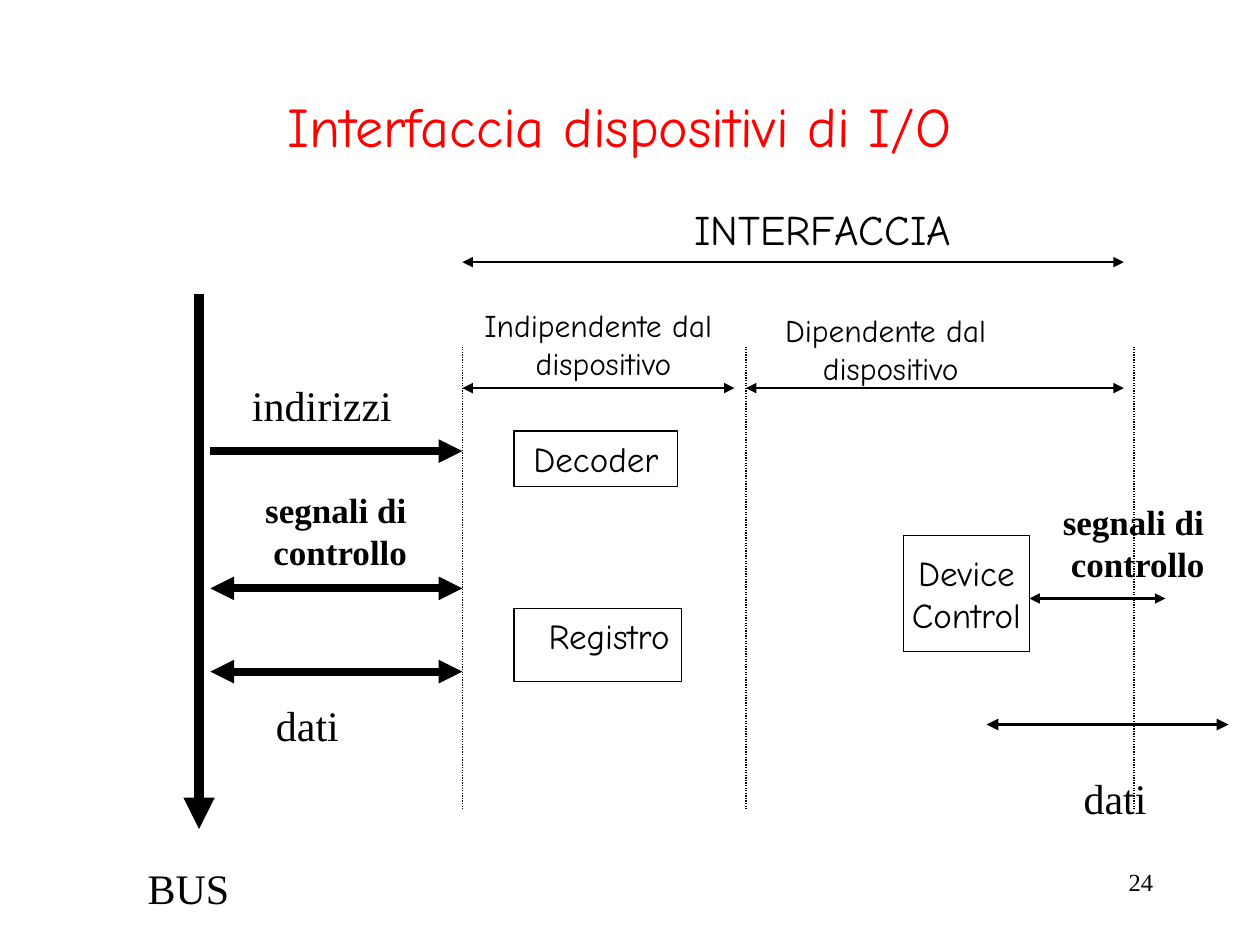
from dataclasses import dataclass

from lxml import etree
from pptx import Presentation
from pptx.dml.color import RGBColor
from pptx.enum.dml import MSO_LINE
from pptx.enum.shapes import MSO_CONNECTOR, MSO_SHAPE
from pptx.enum.text import MSO_ANCHOR, PP_ALIGN
from pptx.oxml.ns import qn
from pptx.util import Inches, Pt

STRAIGHT = MSO_CONNECTOR.STRAIGHT
RECTANGLE = MSO_SHAPE.RECTANGLE
DOTTED = MSO_LINE.ROUND_DOT
TOP, MIDDLE = MSO_ANCHOR.TOP, MSO_ANCHOR.MIDDLE
CENTER, RIGHT = PP_ALIGN.CENTER, PP_ALIGN.RIGHT

COMIC, TIMES = "Comic Neue", "Times New Roman"
BLACK, RED = "000000", "FF0000"

BUS_X, BUS_EDGE = 1.58, 1.67
INTERFACE_LEFT, INTERFACE_MIDDLE, INTERFACE_RIGHT = 3.67, 5.92, 9
SPAN_RIGHT = 8.92
SPAN_Y = 3.08


@dataclass
class Label:
    text: str
    left: float
    top: float
    width: float
    height: float
    size: int
    font: str = TIMES
    color: str = BLACK
    bold: bool = False
    wrap: bool = False
    align: PP_ALIGN = CENTER
    anchor: MSO_ANCHOR = TOP
    framed: bool = False


@dataclass
class Arrow:
    x1: float
    y1: float
    x2: float
    y2: float
    weight: float = 0.75
    ends: tuple[str, ...] = ("headEnd", "tailEnd")


LABELS = [
    Label("24", 7.17, 6.83, 2.08, 0.5, 14, wrap=True, align=RIGHT),
    Label("Interfaccia dispositivi di I/O", 0.67, 0.58, 8.5, 0.83, 32,
          COMIC, RED, wrap=True, anchor=MIDDLE),
    Label("BUS", 1.07, 6.8, 0.85, 0.5, 24),
    Label("Device\nControl", 7.17, 4.25, 1, 0.92, 20, COMIC,
          anchor=MIDDLE, framed=True),
    Label("Dipendente dal \ndispositivo", 6.13, 2.42, 1.88, 0.7, 18, COMIC),
    Label("Indipendente dal \ndispositivo", 3.74, 2.38, 2.1, 0.7, 18, COMIC),
    Label("INTERFACCIA", 5.41, 1.57, 2.24, 0.5, 24, COMIC),
    Label("Decoder", 4.08, 3.42, 1.3, 0.44, 20, COMIC, wrap=True, framed=True),
    Label("", 4.08, 4.83, 1.33, 0.58, 20, COMIC, framed=True),
    Label("Registro", 4.17, 4.83, 1.33, 0.44, 20, COMIC, wrap=True),
    Label("indirizzi", 1.9, 2.96, 1.31, 0.5, 24),
    Label("dati", 2.09, 5.5, 0.7, 0.5, 24),
    Label("dati", 8.5, 6.08, 0.7, 0.5, 24),
    Label("segnali di\n controllo", 1.92, 3.83, 1.49, 0.77, 20, bold=True, wrap=True),
    Label("segnali di\n controllo", 8.25, 3.92, 1.49, 0.77, 20, bold=True, wrap=True),
]

ARROWS = [
    Arrow(INTERFACE_LEFT, 2.08, SPAN_RIGHT, 2.08),
    Arrow(INTERFACE_LEFT, SPAN_Y, 5.83, SPAN_Y),
    Arrow(INTERFACE_MIDDLE, SPAN_Y, SPAN_RIGHT, SPAN_Y),
    Arrow(BUS_X, 2.33, BUS_X, 6.58, 6, ("tailEnd",)),
    Arrow(BUS_EDGE, 3.58, INTERFACE_LEFT, 3.58, 4.5, ("tailEnd",)),
    Arrow(BUS_EDGE, 4.67, INTERFACE_LEFT, 4.67, 4.5),
    Arrow(BUS_EDGE, 5.33, INTERFACE_LEFT, 5.33, 4.5),
    Arrow(8.17, 4.75, 9.25, 4.75, 1.5),
    Arrow(7.83, 5.75, 9.75, 5.75, 2.25),
]

BOUNDARIES = [
    Arrow(x, 2.75, x, 6.42, ends=())
    for x in (INTERFACE_LEFT, INTERFACE_MIDDLE, INTERFACE_RIGHT)
]


def rgb(color: str) -> RGBColor:
    return RGBColor.from_string(color)


def draw_label(slide, label: Label) -> None:
    box = [Inches(value) for value in (label.left, label.top, label.width, label.height)]
    if label.framed:
        shape = slide.shapes.add_shape(RECTANGLE, *box)
        shape.shadow.inherit = False
        shape.fill.background()
        shape.line.color.rgb = rgb(BLACK)
        shape.line.width = Pt(0.75)
    else:
        shape = slide.shapes.add_textbox(*box)
    if not label.text:
        return
    frame = shape.text_frame
    frame.word_wrap = label.wrap
    frame.vertical_anchor = label.anchor
    frame.text = label.text
    font_format = {"name": label.font, "size": Pt(label.size), "bold": label.bold}
    for paragraph in frame.paragraphs:
        paragraph.alignment = label.align
        for run in paragraph.runs:
            for name, value in font_format.items():
                setattr(run.font, name, value)
            run.font.color.rgb = rgb(label.color)


def draw_arrow(slide, arrow: Arrow, dash: MSO_LINE | None = None) -> None:
    points = [Inches(value) for value in (arrow.x1, arrow.y1, arrow.x2, arrow.y2)]
    connector = slide.shapes.add_connector(STRAIGHT, *points)
    connector.line.color.rgb = rgb(BLACK)
    connector.line.width = Pt(arrow.weight)
    if dash is not None:
        connector.line.dash_style = dash
    properties = connector._element.spPr
    line = properties.find(qn("a:ln"))
    for end in arrow.ends:
        etree.SubElement(line, qn(f"a:{end}"), type="triangle")
    etree.SubElement(properties, qn("a:effectLst"))


def main() -> None:
    presentation = Presentation()
    presentation.slide_width = Inches(10)
    presentation.slide_height = Inches(7.5)
    slide = presentation.slides.add_slide(presentation.slide_layouts[6])
    for boundary in BOUNDARIES:
        draw_arrow(slide, boundary, DOTTED)
    for arrow in ARROWS:
        draw_arrow(slide, arrow)
    for label in LABELS:
        draw_label(slide, label)
    presentation.save("out.pptx")


if __name__ == "__main__":
    main()
